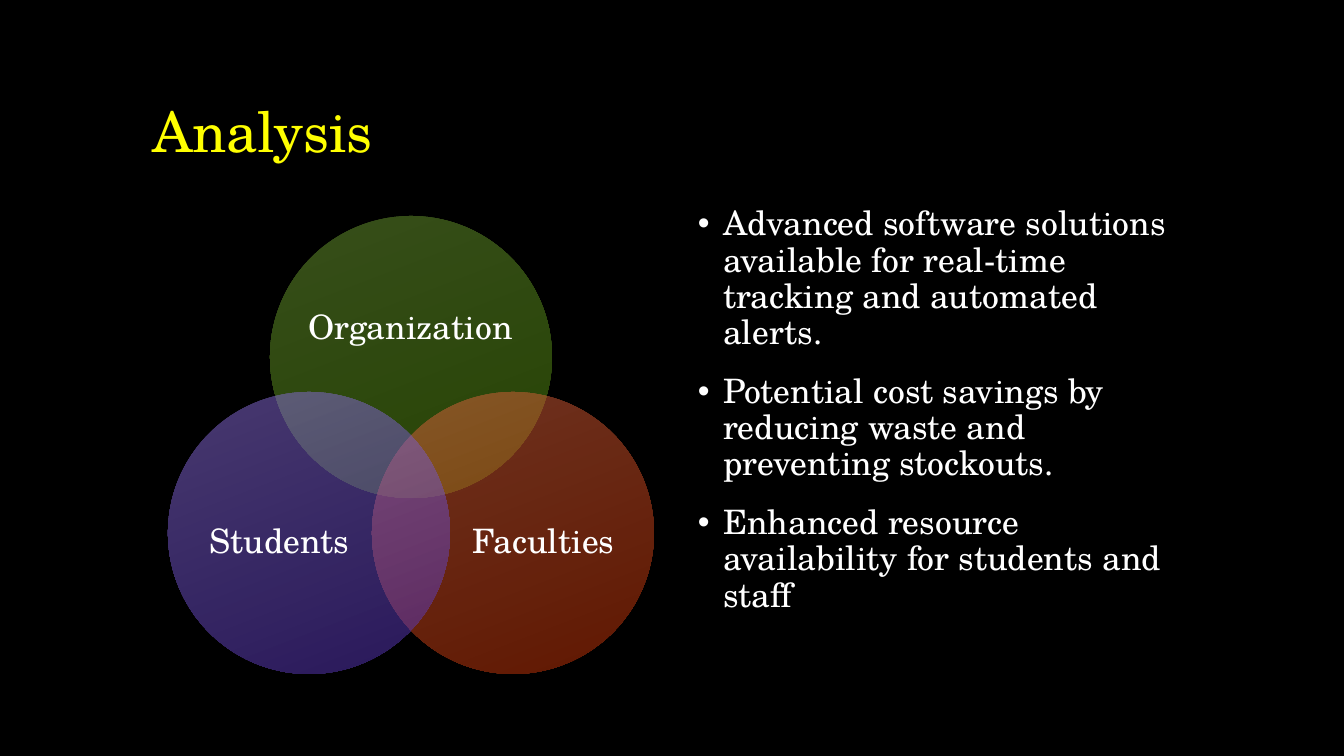
from lxml import etree
from pptx import Presentation
from pptx.dml.color import RGBColor
from pptx.enum.shapes import MSO_SHAPE
from pptx.enum.text import MSO_ANCHOR, MSO_AUTO_SIZE, PP_ALIGN
from pptx.oxml.ns import qn
from pptx.util import Pt

OVAL = MSO_SHAPE.OVAL
MIDDLE, BOTTOM = MSO_ANCHOR.MIDDLE, MSO_ANCHOR.BOTTOM
LEFT, CENTER = PP_ALIGN.LEFT, PP_ALIGN.CENTER
FIXED = MSO_AUTO_SIZE.NONE
SCALE = 914400 / 100.8
TITLE_ONLY = 5

POINTS = [
    "Advanced software solutions available for real-time tracking and automated alerts.",
    "Potential cost savings by reducing waste and preventing stockouts.",
    "Enhanced resource availability for students and staff",
]
# name, circle corner, label box, light and dark shade
CIRCLES = [
    ("Organization", (270, 216), (307, 265, 207, 127), "6E9D35", "4E8808"),
    ("Faculties", (372, 392), (459, 465, 169, 155), "DE6742", "C23002"),
    ("Students", (168, 392), (195, 465, 169, 155), "8F73DF", "5331B6"),
]
SIZE = 282


def emu(px):
    return round(px * SCALE)


def color(code):
    return RGBColor.from_string(code)


def assign(item, values):
    for name, value in values.items():
        setattr(item, name, value)


class Board:
    font = "TeX Gyre Schola"
    white, black, yellow = "FFFFFF", "000000", "FFFF00"

    def __init__(self, deck):
        self.slide = deck.slides.add_slide(deck.slide_layouts[TITLE_ONLY])
        fill = self.slide.background.fill
        fill.solid()
        fill.fore_color.rgb = color(self.black)

    def typeset(self, frame, lines, size, shade, style):
        """Fill a text frame with one styled paragraph per line."""
        assign(frame, {"word_wrap": True, "auto_size": FIXED})
        for i, line in enumerate(lines):
            para = frame.add_paragraph() if i else frame.paragraphs[0]
            assign(para, style)
            run = para.add_run()
            run.text = line
            assign(run.font, {"name": self.font, "size": Pt(size)})
            run.font.color.rgb = color(shade)

    def title(self, text, box):
        shape = self.slide.shapes.title
        assign(shape, dict(zip(("left", "top", "width", "height"), map(emu, box))))
        shape.text_frame.vertical_anchor = BOTTOM
        self.typeset(shape.text_frame, [text], 40, self.yellow,
                     {"alignment": LEFT, "line_spacing": 0.8})

    def circle(self, left, top, size, light, dark):
        """Draw a half-transparent circle with a slanted gradient."""
        shape = self.slide.shapes.add_shape(OVAL, *map(emu, (left, top, size, size)))
        shape.shadow.inherit = False
        shape.line.fill.background()
        shape.fill.gradient()
        shape.fill.gradient_angle = 291
        for stop, shade in zip(shape.fill.gradient_stops, (light, dark)):
            stop.color.rgb = color(shade)
        for node in shape.element.spPr.iter(qn("a:srgbClr")):
            etree.SubElement(node, qn("a:alpha"), val="50000")

    def label(self, text, box):
        frame = self.slide.shapes.add_textbox(*map(emu, box)).text_frame
        sides = ("left", "top", "right", "bottom")
        assign(frame, {f"margin_{side}": 0 for side in sides})
        frame.vertical_anchor = MIDDLE
        self.typeset(frame, [text], 24, self.white,
                     {"alignment": CENTER, "line_spacing": 0.9})

    def bullets(self, lines, box):
        frame = self.slide.shapes.add_textbox(*map(emu, box)).text_frame
        self.typeset(frame, lines, 24, self.white,
                     {"line_spacing": 0.9, "space_before": Pt(16)})
        for para in frame.paragraphs:
            props = para._p.get_or_add_pPr()
            props.set("marL", "228600")
            props.set("indent", "-228600")
            etree.SubElement(props, qn("a:buFont"), typeface="Arial")
            etree.SubElement(props, qn("a:buChar"), char="•")


def main():
    deck = Presentation()
    assign(deck, {"slide_width": emu(1344), "slide_height": emu(756)})
    board = Board(deck)
    board.title("Analysis", (142, 42, 1058, 126))
    for name, corner, box, light, dark in CIRCLES:
        board.circle(*corner, SIZE, light, dark)
        board.label(name, box)
    board.bullets(POINTS, (688, 202, 512, 479))
    deck.save("out.pptx")


if __name__ == "__main__":
    main()
